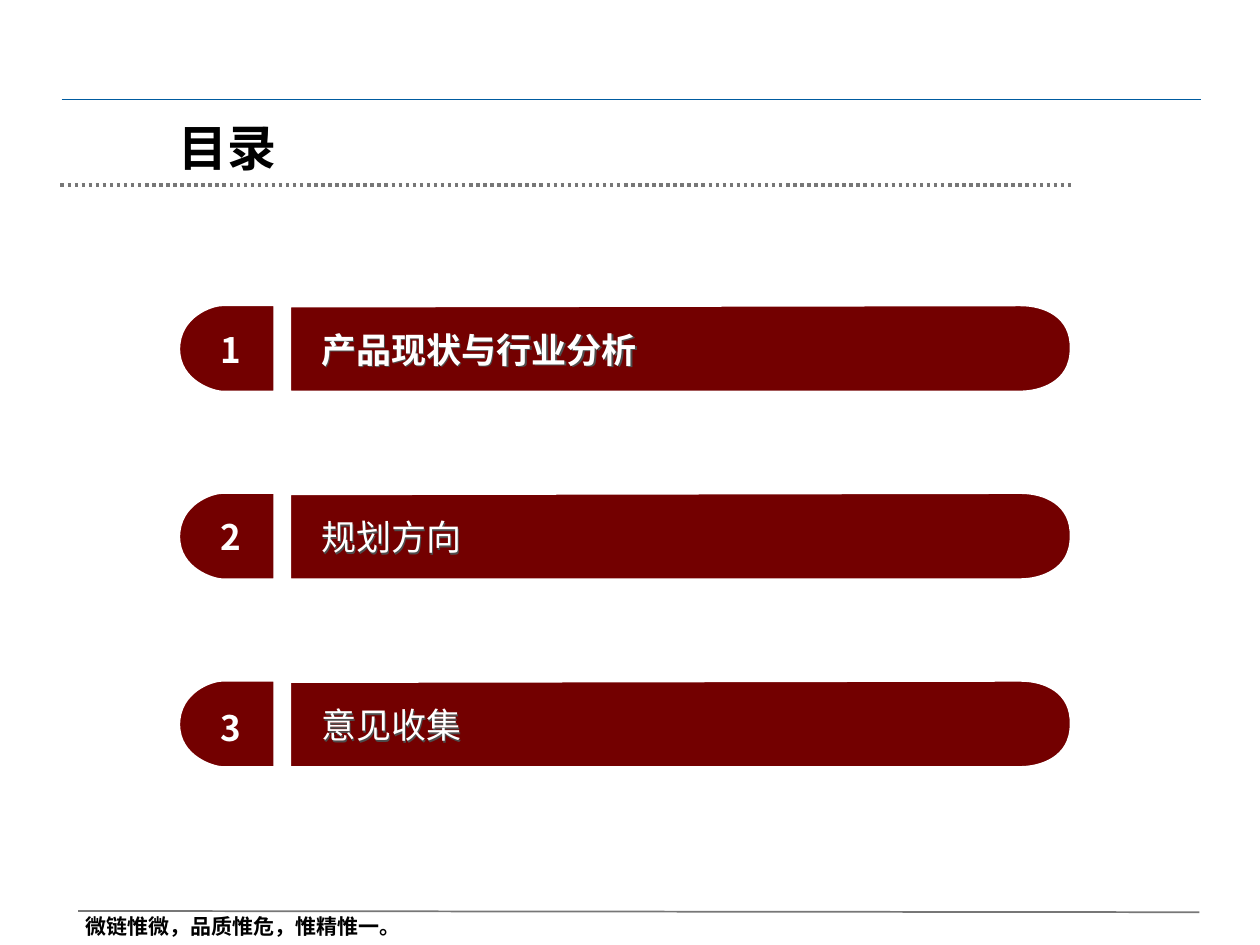
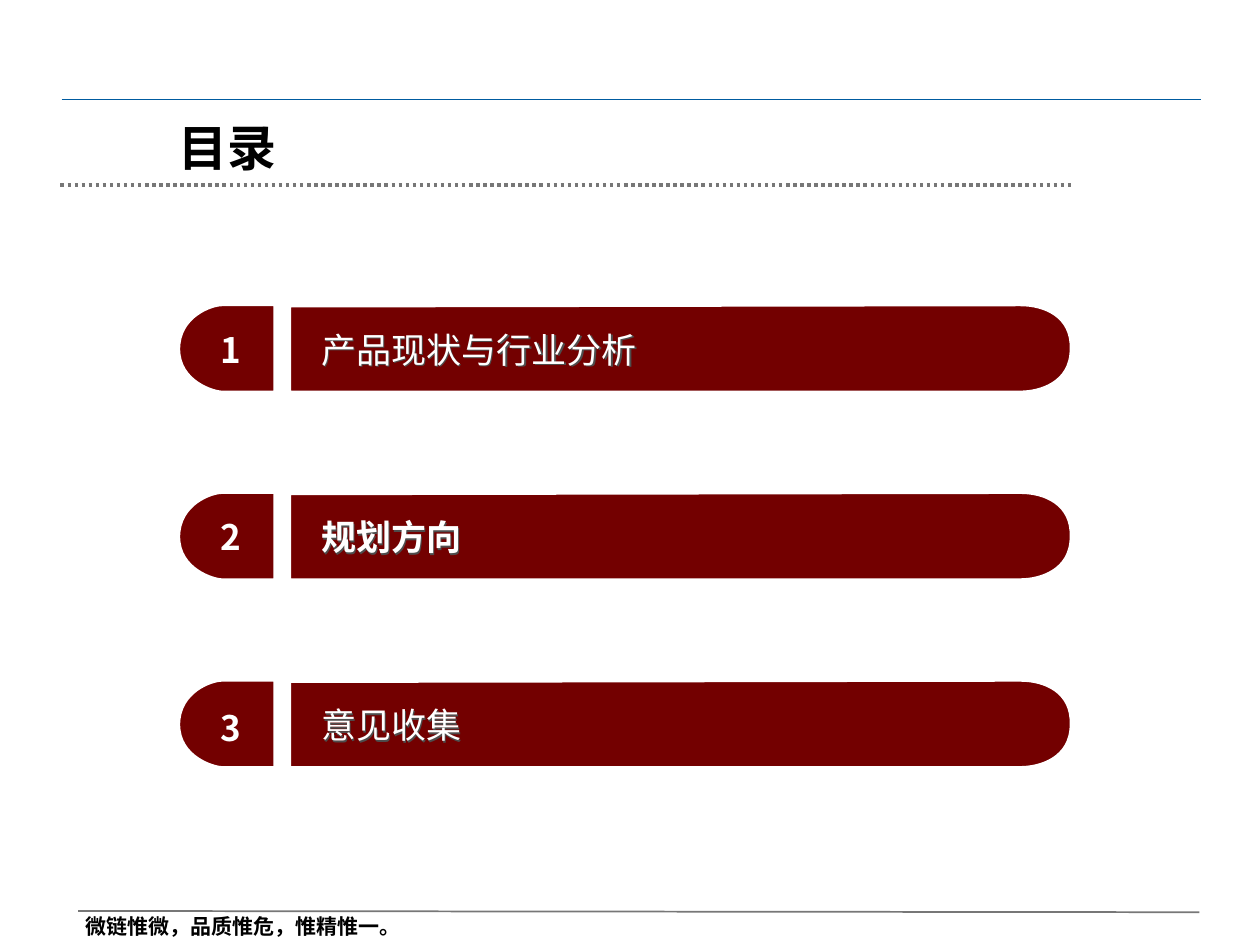
from dataclasses import dataclass

from lxml import etree
from pptx import Presentation
from pptx.dml.color import RGBColor
from pptx.enum.dml import MSO_LINE
from pptx.enum.shapes import MSO_CONNECTOR
from pptx.enum.text import MSO_ANCHOR, MSO_AUTO_SIZE, PP_ALIGN
from pptx.oxml import parse_xml
from pptx.oxml.ns import nsdecls, qn
from pptx.util import Pt

EMU_PER_PX = 9144  # 100 px to the inch
TITLE_ONLY = 5


@dataclass(frozen=True)
class Theme:
    font: str = "Noto Sans CJK SC"
    ink: str = "000000"
    white: str = "FFFFFF"
    bar: str = "730000"
    rule: str = "777777"
    accent: str = "005BA0"
    shadow: str = "4D4D4D"
    title_size: int = 28
    item_size: int = 20
    footer_size: int = 12


THEME = Theme()
MOTTO = "微链惟微，品质惟危，惟精惟一。"
TOPICS = ["产品现状与行业分析", "规划方向", "意见收集"]
NUMBER_DROPS = [0, 0, 2]
FIRST_ROW_TOP, ROW_PITCH = 242, 149

# Outlines relative to the row top: one point is a corner,
# three are two curve handles and the point they lead to
TOPIC_BAR = [
    [(230, 1)],
    [(230, 69)],
    [(251, 69), (794, 69), (810, 69)],
    [(825, 69), (850, 62), (850, 35)],
    [(851, 9), (829, 0), (810, 0)],
    [(791, 0), (251, 1), (230, 1)],
]
NUMBER_TAB = [
    [(218, 0)],
    [(218, 35), (218, 69), (218, 69)],
    [(176, 69)],
    [(170, 69), (142, 61), (142, 35)],
    [(142, 9), (168, 0), (176, 0)],
    [(218, 0)],
]


def px(length):
    return round(length * EMU_PER_PX)


def set_all(target, values):
    for name, value in values.items():
        setattr(target, name, value)


# Text
def write(frame, text, size, color, bold=True, **layout):
    set_all(frame, {"word_wrap": True, **layout})
    paragraph = frame.paragraphs[0]
    paragraph.alignment = PP_ALIGN.LEFT
    run = paragraph.add_run()
    run.text = text
    set_all(run.font, {"name": THEME.font, "size": Pt(size), "bold": bold})
    run.font.color.rgb = RGBColor.from_string(color)
    east_asian = etree.Element(qn("a:ea"), typeface=THEME.font)
    run._r.get_or_add_rPr().find(qn("a:latin")).addnext(east_asian)


def add_text(shapes, box, text, size, color, bold=True, anchor=MSO_ANCHOR.TOP):
    textbox = shapes.add_textbox(*map(px, box))
    write(textbox.text_frame, text, size, color, bold, vertical_anchor=anchor,
          auto_size=MSO_AUTO_SIZE.SHAPE_TO_FIT_TEXT)
    return textbox


def add_shadow(textbox):
    textbox._element.spPr.append(parse_xml(
        f'<a:effectLst {nsdecls("a")}>'
        '<a:outerShdw dist="17961" dir="2700000" algn="ctr" rotWithShape="0">'
        f'<a:srgbClr val="{THEME.shadow}"/></a:outerShdw></a:effectLst>'))


# Lines and outlines
def add_rule(shapes, start, end, color, width, dash=None):
    rule = shapes.add_connector(MSO_CONNECTOR.STRAIGHT, *map(px, start + end))
    rule.line.color.rgb = RGBColor.from_string(color)
    set_all(rule.line, {"width": Pt(width), "dash_style": dash})
    etree.SubElement(rule._element.spPr, qn("a:effectLst"))
    rule._element.remove(rule._element.find(qn("p:style")))


def bend(segment, points, shape):
    """Turn a straight segment into a curve through the given handles."""
    curve = etree.Element(qn("a:cubicBezTo"))
    for x, y in points:
        etree.SubElement(curve, qn("a:pt"),
                         x=str(x - shape.left), y=str(y - shape.top))
    segment.getparent().replace(segment, curve)


def add_outline(shapes, outline, top):
    parts = [[(px(x), px(top + y)) for x, y in part] for part in outline]
    builder = shapes.build_freeform(*parts[0][-1])
    builder.add_line_segments([part[-1] for part in parts[1:]], close=True)
    shape = builder.convert_to_shape()
    segments = list(shape._element.iter(qn("a:lnTo")))
    for segment, part in zip(segments, parts[1:]):
        if len(part) == 3:
            bend(segment, part, shape)
    shape.shadow.inherit = False
    shape.fill.solid()
    shape.fill.fore_color.rgb = RGBColor.from_string(THEME.bar)
    shape.line.color.rgb = RGBColor.from_string(THEME.white)
    shape.line.width = Pt(1.5)


# Slide parts
def add_frame(shapes):
    add_rule(shapes, (48, 147), (852, 147), THEME.rule, 2, MSO_LINE.ROUND_DOT)
    add_rule(shapes, (49, 79), (953, 79), THEME.accent, 1)
    add_rule(shapes, (62, 723), (952, 724), THEME.rule, 1)
    add_text(shapes, (58, 720, 443, 30), MOTTO, THEME.footer_size, THEME.ink)


def add_title(title, text):
    box = zip(("left", "top", "width", "height"), map(px, (132, 84, 619, 61)))
    set_all(title, dict(box))
    write(title.text_frame, text, THEME.title_size, THEME.ink,
          vertical_anchor=MSO_ANCHOR.BOTTOM, auto_size=MSO_AUTO_SIZE.NONE)


def add_topic(shapes, number, topic, top, number_drop, current):
    row = shapes.add_group_shape().shapes
    add_outline(row, TOPIC_BAR, top)
    add_outline(row, NUMBER_TAB, top)
    label = add_text(row, (245, top + 13, 593, 44), topic, THEME.item_size,
                     THEME.white, current, MSO_ANCHOR.MIDDLE)
    add_shadow(label)
    add_text(row, (165, top + 13 + number_drop, 38, 44), str(number),
             THEME.item_size, THEME.white, anchor=MSO_ANCHOR.MIDDLE)


def add_agenda(deck, current_topic):
    slide = deck.slides.add_slide(deck.slide_layouts[TITLE_ONLY])
    add_frame(slide.shapes)
    add_title(slide.shapes.title, "目录")
    for index, (topic, drop) in enumerate(zip(TOPICS, NUMBER_DROPS)):
        add_topic(slide.shapes, index + 1, topic,
                  FIRST_ROW_TOP + index * ROW_PITCH, drop, index == current_topic)


def main():
    deck = Presentation()
    set_all(deck, {"slide_width": px(1000), "slide_height": px(750)})
    for current_topic in (0, 1):
        add_agenda(deck, current_topic)
    deck.save("out.pptx")


if __name__ == "__main__":
    main()
